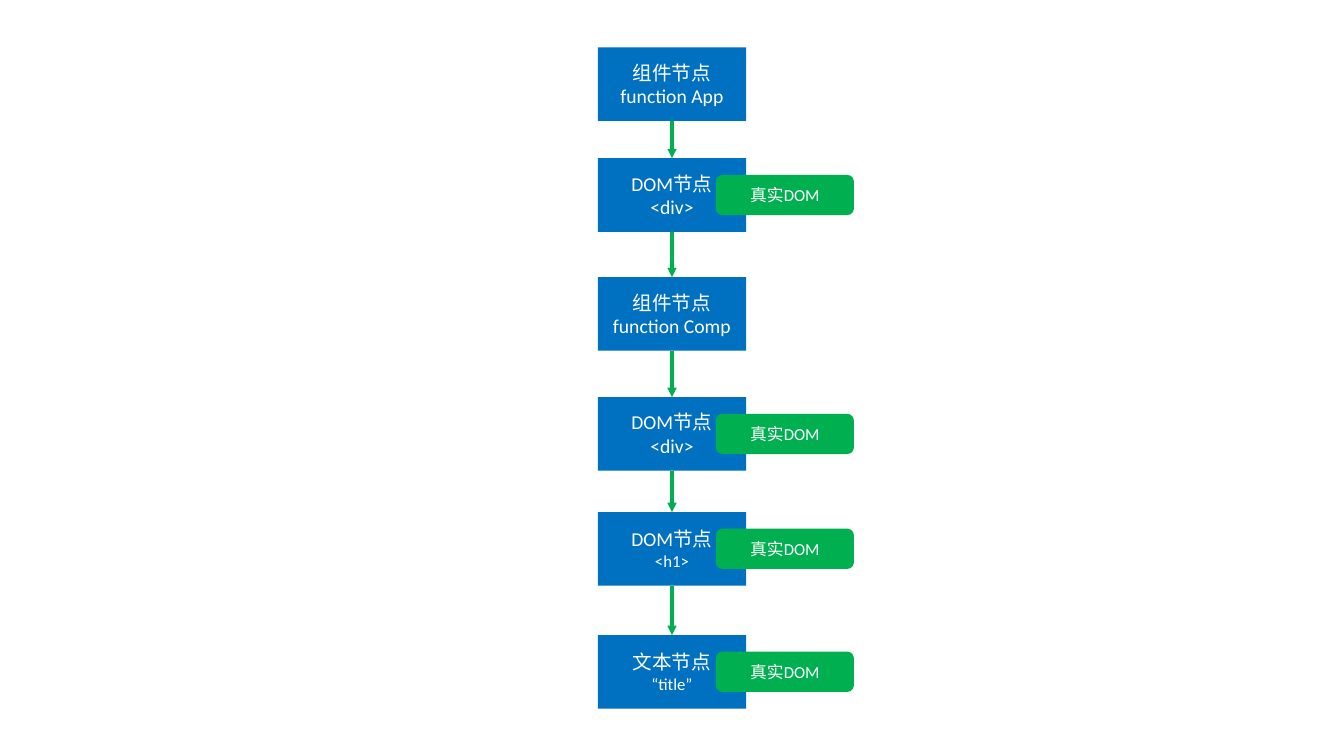
from pptx import Presentation
from pptx.dml.color import RGBColor
from pptx.enum.shapes import MSO_CONNECTOR as Connector, MSO_SHAPE as Shape
from pptx.enum.text import MSO_ANCHOR as Anchor, PP_ALIGN as Align
from pptx.oxml.ns import qn
from pptx.util import Inches, Pt
from lxml import etree

BLUE = RGBColor(0x00, 0x70, 0xC0)
GREEN = RGBColor(0x00, 0xB0, 0x50)
WHITE = RGBColor(0xFF, 0xFF, 0xFF)

NODE_LEFT, NODE_WIDTH, NODE_HEIGHT = 5.93, 1.47, 0.73
BADGE_LEFT, BADGE_WIDTH, BADGE_HEIGHT = 7.1, 1.37, 0.4
BOTTOM, TOP = 2, 0

# top, kind of node, content, content size, has a real DOM element
NODES = [
    (0.47, "组件节点", "function App", 14, False),
    (1.57, "DOM节点", "<div>", 14, True),
    (2.75, "组件节点", "function Comp", 14, False),
    (3.94, "DOM节点", "<div>", 14, True),
    (5.08, "DOM节点", "<h1>", 12, True),
    (6.3, "文本节点", "“title”", 12, True),
]


def add_box(slide, kind, left, top, width, height, color, lines):
    """Add a filled shape with centred text; lines holds (text, size) pairs."""
    shape = slide.shapes.add_shape(
        kind, Inches(left), Inches(top), Inches(width), Inches(height))
    shape.shadow.inherit = False
    shape.fill.solid()
    shape.fill.fore_color.rgb = color
    shape.line.fill.background()
    frame = shape.text_frame
    frame.word_wrap = True
    frame.vertical_anchor = Anchor.MIDDLE
    for index, (text, size) in enumerate(lines):
        paragraph = frame.add_paragraph() if index else frame.paragraphs[0]
        paragraph.alignment = Align.CENTER
        run = paragraph.add_run()
        run.text = text
        run.font.name = "Calibri"
        run.font.size = Pt(size)
        run.font.color.rgb = WHITE
    return shape


def add_node(slide, top, title, content, content_size):
    return add_box(slide, Shape.RECTANGLE, NODE_LEFT, top, NODE_WIDTH,
                   NODE_HEIGHT, BLUE, [(title, 14), (content, content_size)])


def add_badge(slide, node_top):
    top = node_top + (NODE_HEIGHT - BADGE_HEIGHT) / 2
    add_box(slide, Shape.ROUNDED_RECTANGLE, BADGE_LEFT, top, BADGE_WIDTH,
            BADGE_HEIGHT, GREEN, [("真实DOM", 12)])


def add_arrow(slide, parent, child):
    arrow = slide.shapes.add_connector(Connector.STRAIGHT, 0, 0, 0, 0)
    arrow.begin_connect(parent, BOTTOM)
    arrow.end_connect(child, TOP)
    arrow.line.color.rgb = GREEN
    arrow.line.width = Pt(2.25)
    etree.SubElement(arrow.line._get_or_add_ln(), qn("a:tailEnd"), type="triangle")
    etree.SubElement(arrow._element.spPr, qn("a:effectLst"))


def main():
    presentation = Presentation()
    presentation.slide_width = Inches(13.33)
    presentation.slide_height = Inches(7.5)
    slide = presentation.slides.add_slide(presentation.slide_layouts[6])

    parent = None
    for top, title, content, content_size, has_dom in NODES:
        node = add_node(slide, top, title, content, content_size)
        if has_dom:
            add_badge(slide, top)
        if parent is not None:
            add_arrow(slide, parent, node)
        parent = node

    presentation.save("out.pptx")


if __name__ == "__main__":
    main()
